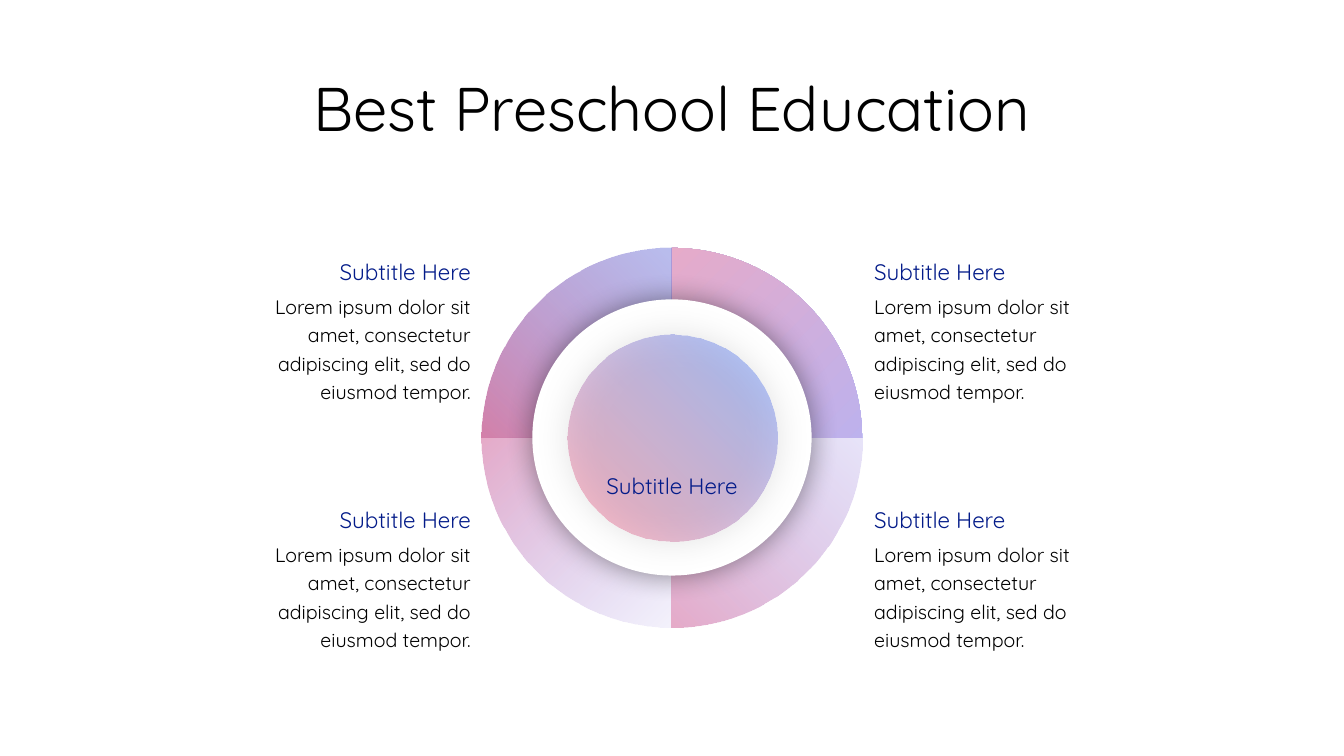
"""Build the preschool education slide with a four-part ring and captions."""
from typing import NamedTuple, Optional

from lxml.etree import SubElement
from pptx import Presentation
from pptx.dml.color import RGBColor
from pptx.enum.shapes import MSO_SHAPE as Preset
from pptx.enum.text import MSO_ANCHOR as Anchor
from pptx.enum.text import MSO_AUTO_SIZE as AutoSize
from pptx.enum.text import PP_ALIGN as Align
from pptx.oxml.ns import qn
from pptx.util import Inches, Pt

FONT = "Quicksand"
BLACK, NAVY, WHITE = "000000", "031B89", "FFFFFF"
PINK, LAVENDER, BLUE, CORAL = "FAA7B7", "A9B5FF", "6196FE", "FB7A8E"
SUBTITLE = "Subtitle Here"
DESCRIPTION = "Lorem ipsum dolor sit amet, consectetur adipiscing elit, sed do eiusmod tempor."


class Box(NamedTuple):
    left: float
    top: float
    width: float
    height: float


class Stop(NamedTuple):
    color: str
    opacity: int = 100


class Shadow(NamedTuple):
    opacity: int
    blur: int


class Disc(NamedTuple):
    preset: Preset
    box: Box
    stops: tuple[Stop, ...]
    rotation: int = 0
    shadow: Optional[Shadow] = None


class TextStyle(NamedTuple):
    size: int
    color: str
    align: Align
    spacing: float = 1.2
    anchor: Anchor = Anchor.TOP


class Caption(NamedTuple):
    left: float
    top: float
    align: Align


RING = Box(4.78, 2.46, 3.77, 3.77)
QUARTERS = [
    (270, (Stop(PINK), Stop(LAVENDER, 16))),
    (180, (Stop(PINK), Stop(LAVENDER, 34))),
    (90, (Stop(LAVENDER), Stop(PINK))),
    (0, (Stop(BLUE, 58), Stop(CORAL))),
]
DISCS = [Disc(Preset.PIE, RING, stops, rotation) for rotation, stops in QUARTERS] + [
    Disc(Preset.OVAL, Box(5.28, 2.97, 2.77, 2.74), (Stop(WHITE),), shadow=Shadow(42, 20)),
    Disc(Preset.OVAL, Box(5.63, 3.32, 2.08, 2.05), (Stop(BLUE, 54), Stop(CORAL, 52)),
         shadow=Shadow(21, 26)),
]
CAPTIONS = [Caption(left, top, align)
            for left, align in ((2.27, Align.RIGHT), (8.67, Align.LEFT))
            for top in (2.46, 4.92)]


def rgb(color: str) -> RGBColor:
    return RGBColor.from_string(color)


def apply(target, values: dict) -> None:
    for name, value in values.items():
        setattr(target, name, value)


def inches(box: Box) -> list:
    return [Inches(length) for length in box]


def set_opacity(color_element, percent: int) -> None:
    SubElement(color_element, qn("a:alpha"), val=str(percent * 1000))


def add_shadow(shape, shadow: Shadow) -> None:
    effects = shape.element.spPr.find(qn("a:effectLst"))
    outer = SubElement(effects, qn("a:outerShdw"), blurRad=str(Pt(shadow.blur)),
                       dist="0", algn="ctr", rotWithShape="0")
    set_opacity(SubElement(outer, qn("a:srgbClr"), val=BLACK), shadow.opacity)


def draw_disc(slide, disc: Disc) -> None:
    shape = slide.shapes.add_shape(disc.preset, *inches(disc.box))
    shape.rotation = disc.rotation
    if disc.preset == Preset.PIE:
        shape.adjustments[0], shape.adjustments[1] = 108, 162
    if len(disc.stops) == 1:
        shape.fill.solid()
        shape.fill.fore_color.rgb = rgb(disc.stops[0].color)
    else:
        shape.fill.gradient()
        shape.fill.gradient_angle = 225
        for gradient_stop, stop in zip(shape.fill.gradient_stops, disc.stops):
            gradient_stop.color.rgb = rgb(stop.color)
        colors = shape.element.spPr.iter(qn("a:srgbClr"))
        for color_element, stop in zip(list(colors), disc.stops):
            set_opacity(color_element, stop.opacity)
    shape.line.fill.background()
    shape.shadow.inherit = False
    if disc.shadow:
        add_shadow(shape, disc.shadow)


def write_text(shape, box: Box, text: str, style: TextStyle) -> None:
    apply(shape, dict(zip(("left", "top", "width", "height"), inches(box))))
    frame = shape.text_frame
    frame.text = text
    apply(frame, {
        "word_wrap": True, "auto_size": AutoSize.SHAPE_TO_FIT_TEXT,
        "vertical_anchor": style.anchor, "margin_left": 0, "margin_right": 0,
        "margin_top": Inches(0.05), "margin_bottom": Inches(0.05),
    })
    paragraph = frame.paragraphs[0]
    properties = paragraph._p.get_or_add_pPr()
    apply(paragraph, {"alignment": style.align, "line_spacing": style.spacing,
                      "space_before": Pt(0)})
    properties.set("marL", "0")
    properties.set("indent", "0")
    SubElement(properties, qn("a:buNone"))
    font = paragraph.runs[0].font
    apply(font, {"name": FONT, "size": Pt(style.size), "bold": False})
    font.color.rgb = rgb(style.color)


def add_subtitle(slide, box: Box, align: Align) -> None:
    write_text(slide.shapes.add_textbox(*inches(box)), box, SUBTITLE,
               TextStyle(16, NAVY, align))


def main() -> None:
    presentation = Presentation()
    apply(presentation, {"slide_width": Inches(13.33), "slide_height": Inches(7.5)})
    layout = presentation.slide_layouts.get_by_name("Comparison")
    slide = presentation.slides.add_slide(layout)
    title, *bodies = list(slide.placeholders)
    write_text(title, Box(0.67, 0.76, 11.99, 0.73), "Best Preschool Education",
               TextStyle(44, BLACK, Align.CENTER, 0.8, Anchor.MIDDLE))
    for disc in DISCS:
        draw_disc(slide, disc)
    add_subtitle(slide, Box(5.68, 4.58, 1.97, 0.41), Align.CENTER)
    for body, caption in zip(bodies, CAPTIONS):
        add_subtitle(slide, Box(caption.left, caption.top, 2.4, 0.41), caption.align)
        write_text(body, Box(caption.left, caption.top + 0.37, 2.4, 0.94), DESCRIPTION,
                   TextStyle(14, BLACK, caption.align))
    presentation.save("out.pptx")


if __name__ == "__main__":
    main()
